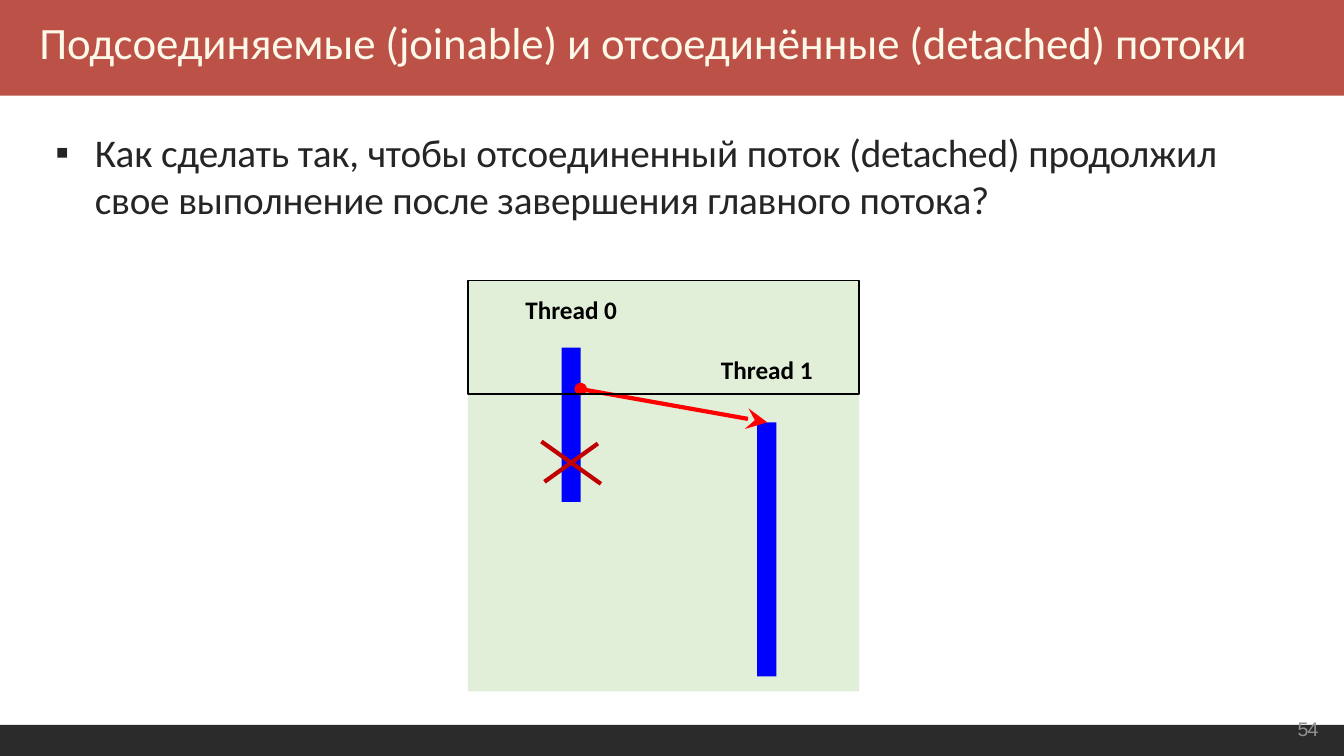
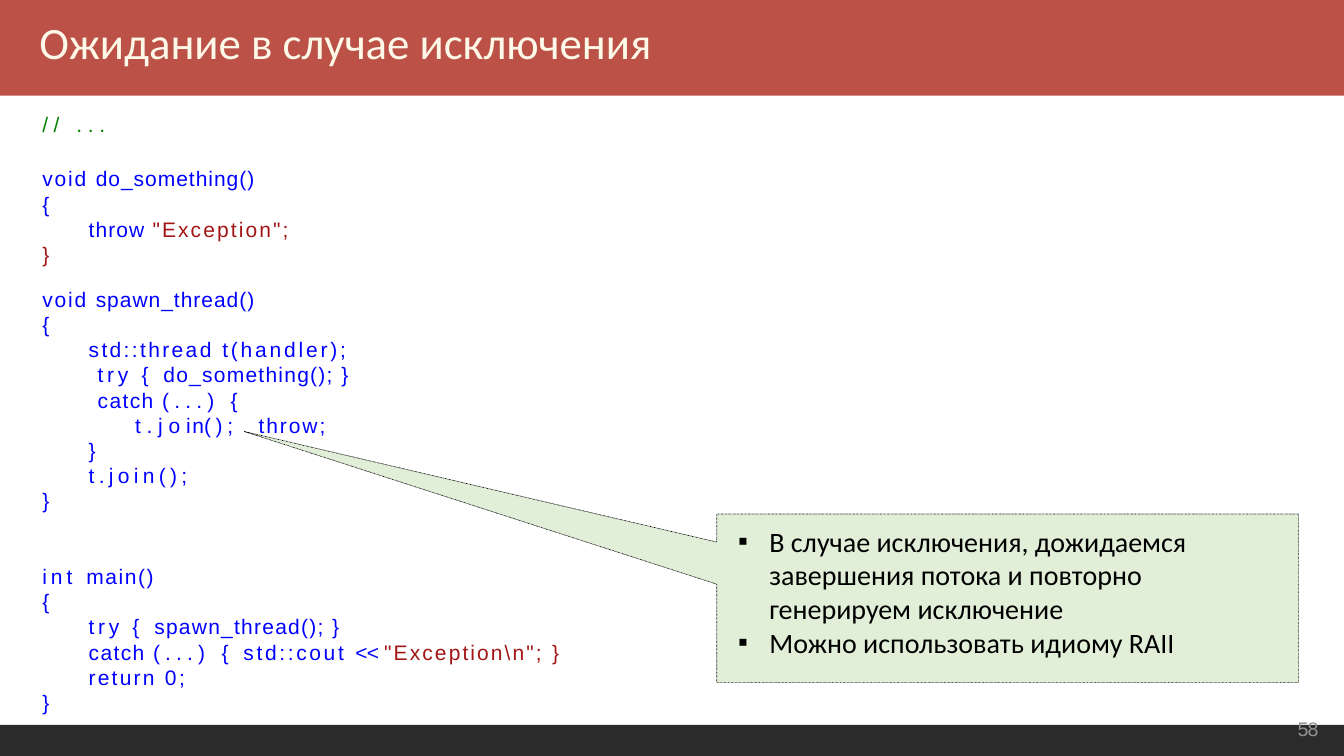
from dataclasses import dataclass

from pptx import Presentation
from pptx.dml.color import RGBColor
from pptx.enum.dml import MSO_LINE
from pptx.enum.shapes import MSO_CONNECTOR, MSO_SHAPE
from pptx.enum.text import MSO_ANCHOR, MSO_AUTO_SIZE, PP_ALIGN
from pptx.oxml.ns import qn
from pptx.util import Inches, Pt
from lxml import etree


@dataclass(frozen=True)
class Theme:
    title_band: str = "BC5247"
    title_text: str = "FDF8E8"
    footer_band: str = "2B2B2B"
    page_number: str = "929292"
    body_text: str = "252525"
    black: str = "000000"
    panel: str = "E1EFD9"
    thread: str = "0000FF"
    arrow: str = "FF0000"
    cross: str = "C00000"
    code: str = "0000FF"
    comment: str = "008000"
    string: str = "A21515"
    text_font: str = "Calibri"
    code_font: str = "Arial"
    title_size: int = 32
    body_size: int = 28
    callout_size: int = 20
    label_size: int = 18
    code_size: int = 15
    code_pitch: int = 18
    number_size: int = 14


THEME = Theme()
WIDTH, HEIGHT = 13.33, 7.5


def rgb(color):
    return RGBColor.from_string(color)


def add_text(paragraph, text, *, size, color, font=THEME.text_font, bold=False, spacing=0):
    """Append a run; spacing is the letter spacing in points."""
    run = paragraph.add_run()
    run.text = text
    run.font.size = Pt(size)
    run.font.name = font
    run.font.bold = bold
    run.font.color.rgb = rgb(color)
    run.font._element.set("spc", str(round(spacing * 100)))


def set_indent(paragraph, left, first=0):
    properties = paragraph._p.get_or_add_pPr()
    properties.set("marL", str(Inches(left)))
    properties.set("indent", str(Inches(first)))
    return properties


def add_bullet(paragraph, color, left, first):
    properties = set_indent(paragraph, left, first)
    bullet_color = etree.SubElement(properties, qn("a:buClr"))
    etree.SubElement(bullet_color, qn("a:srgbClr")).set("val", color)
    etree.SubElement(properties, qn("a:buFont")).set("typeface", THEME.code_font)
    etree.SubElement(properties, qn("a:buChar")).set("char", "▪")


def prepare_frame(shape, left=0, top=0.01):
    """Set top-left anchoring and fixed insets, and return the text frame."""
    frame = shape.text_frame
    frame.word_wrap = True
    frame.auto_size = MSO_AUTO_SIZE.NONE
    frame.vertical_anchor = MSO_ANCHOR.TOP
    frame.margin_left, frame.margin_top = Inches(left), Inches(top)
    frame.margin_right = frame.margin_bottom = 0
    return frame


def paragraphs_for(frame, items):
    """Yield a left-aligned paragraph with each item, reusing the first one."""
    for index, item in enumerate(items):
        paragraph = frame.add_paragraph() if index else frame.paragraphs[0]
        paragraph.alignment = PP_ALIGN.LEFT
        yield paragraph, item


def place(shape, left, top, width, height):
    shape.left, shape.top = Inches(left), Inches(top)
    shape.width, shape.height = Inches(width), Inches(height)


class Deck:
    def __init__(self, theme):
        self.theme = theme
        self.presentation = Presentation()
        self.presentation.slide_width = Inches(WIDTH)
        self.presentation.slide_height = Inches(HEIGHT)
        self.slide = None

    def start_slide(self, title, number, title_spacing=0):
        theme = self.theme
        self.slide = self.presentation.slides.add_slide(self.presentation.slide_layouts[1])
        shape = self.slide.shapes.title
        place(shape, 0, 0, WIDTH, 0.95)
        shape.fill.solid()
        shape.fill.fore_color.rgb = rgb(theme.title_band)
        paragraph = prepare_frame(shape, left=0.39, top=0.15).paragraphs[0]
        paragraph.alignment = PP_ALIGN.LEFT
        add_text(paragraph, title, size=theme.title_size, color=theme.title_text,
                 spacing=title_spacing)
        self.box(0, 7.19, WIDTH, 0.31, fill=theme.footer_band)
        frame = self.text_frame(12.87, 7.1, 0.4, 0.3)
        add_text(frame.paragraphs[0], number, size=theme.number_size,
                 color=theme.page_number, font=theme.code_font, spacing=-0.7)

    def text_frame(self, left, top, width, height):
        return prepare_frame(self.slide.shapes.add_textbox(
            Inches(left), Inches(top), Inches(width), Inches(height)))

    def box(self, left, top, width, height, *, fill=None, line=None, line_width=1,
            preset=MSO_SHAPE.RECTANGLE):
        shape = self.slide.shapes.add_shape(
            preset, Inches(left), Inches(top), Inches(width), Inches(height))
        shape.shadow.inherit = False
        if fill:
            shape.fill.solid()
            shape.fill.fore_color.rgb = rgb(fill)
        else:
            shape.fill.background()
        if line:
            shape.line.color.rgb = rgb(line)
            shape.line.width = Pt(line_width)
        else:
            shape.line.fill.background()
        return shape

    def bullets(self, items, left, top, width, height, *, size, color, indent, hang, spacing=0):
        body = self.slide.placeholders[1]
        place(body, left, top, width, height)
        for paragraph, text in paragraphs_for(prepare_frame(body), items):
            add_bullet(paragraph, color, indent, -hang)
            paragraph.space_before = Pt(0)
            paragraph.line_spacing = 1.0
            add_text(paragraph, text, size=size, color=color, spacing=spacing)

    def labels(self, shape, items, gap):
        """Write (indent, text) labels down a shape, gap points apart."""
        for paragraph, (indent, text) in paragraphs_for(prepare_frame(shape, top=0.14), items):
            set_indent(paragraph, indent)
            paragraph.space_before = Pt(0 if indent == items[0][0] else gap)
            add_text(paragraph, text, size=self.theme.label_size, color=self.theme.black,
                     bold=True)

    def line(self, start, end, color, *, head=None, tail=None):
        connector = self.slide.shapes.add_connector(
            MSO_CONNECTOR.STRAIGHT, *(Inches(value) for value in (*start, *end)))
        connector.line.color.rgb = rgb(color)
        connector.line.width = Pt(3)
        properties = connector._element.spPr
        outline = properties.find(qn("a:ln"))
        for tag, kind, size in (("a:headEnd", head, "med"), ("a:tailEnd", tail, "lg")):
            if kind:
                end_mark = etree.SubElement(outline, qn(tag))
                for name, value in (("type", kind), ("w", size), ("len", size)):
                    end_mark.set(name, value)
        etree.SubElement(properties, qn("a:effectLst"))

    def code(self, lines, left, top, width, *, second_line_gap=0):
        """Write lines of (indent, color, (text, spacing[, color]), ...)."""
        theme = self.theme
        frame = self.text_frame(left, top, width, len(lines) * theme.code_pitch / 72)
        for paragraph, (indent, color, *segments) in paragraphs_for(frame, lines):
            set_indent(paragraph, indent)
            paragraph.line_spacing = Pt(theme.code_pitch)
            for text, spacing, *own_color in segments:
                add_text(paragraph, text, size=theme.code_size, font=theme.code_font,
                         color=own_color[0] if own_color else color, spacing=spacing)
        if second_line_gap:
            frame.paragraphs[1].space_before = Pt(second_line_gap)

    def callout(self, left, top, width, height, tip):
        shape = self.box(left, top, width, height, fill=self.theme.panel,
                         line=self.theme.black, line_width=0.48,
                         preset=MSO_SHAPE.RECTANGULAR_CALLOUT)
        shape.line.dash_style = MSO_LINE.ROUND_DOT
        shape.adjustments[0] = (tip[0] - left) / width - 0.5
        shape.adjustments[1] = (tip[1] - top) / height - 0.5
        self.slide.shapes._spTree.insert(2, shape._element)


def build_detached_slide(deck):
    theme = deck.theme
    deck.start_slide("Подсоединяемые (joinable) и отсоединённые (detached) потоки", "54",
                     title_spacing=-0.1)
    deck.bullets(["Как сделать так, чтобы отсоединенный поток (detached) продолжил "
                  "свое выполнение после завершения главного потока?"],
                 0.54, 1.26, 11.66, 1, size=theme.body_size, color=theme.body_text,
                 indent=0.4, hang=0.39, spacing=-0.1)
    deck.box(4.64, 2.78, 3.88, 4.08, fill=theme.panel)
    for left, top, height in ((5.57, 3.45, 1.53), (7.51, 4.19, 2.52)):
        deck.box(left, top, 0.19, height, fill=theme.thread)
    deck.line((5.76, 3.86), (7.61, 4.19), theme.arrow, head="oval", tail="stealth")
    header = deck.box(4.64, 2.78, 3.88, 1.13, line=theme.black, line_width=0.96)
    deck.labels(header, [(0.57, "Thread 0"), (2.51, "Thread 1")], gap=21)
    for start, end in (((5.4, 4.78), (5.93, 4.4)), ((5.37, 4.38), (5.96, 4.8))):
        deck.line(start, end, theme.cross)


def build_exception_slide(deck):
    theme = deck.theme
    blue, red = theme.code, theme.string
    margin, step, inner, deep = 0.01, 0.47, 0.56, 0.93
    opening = (margin, blue, ("{", 3.2))
    closing = (margin, blue, ("}", 3.2))

    deck.start_slide("Ожидание в случае исключения", "58")
    deck.callout(7.11, 5.1, 5.77, 1.67, tip=(2.42, 4.28))
    deck.bullets(["В случае исключения, дожидаемся завершения потока и повторно "
                  "генерируем исключение",
                  "Можно использовать идиому RAII"],
                 7.3, 5.19, 4.5, 1.43, size=theme.callout_size, color=theme.black,
                 indent=0.33, hang=0.31)
    deck.code([
        (margin, theme.comment, ("// ...", 4)),
        (margin, blue, ("void ", 1.3), ("do_something()", 0.7)),
        opening,
        (step, blue, ("throw ", 0.8), ('"Exception";', 1.5, red)),
        (margin, red, ("}", 3.2)),
    ], 0.41, 1.1, 4, second_line_gap=20.6)
    deck.code([
        (margin, blue, ("void ", 1.3), ("spawn_thread()", 0.7)),
        opening,
        (step, blue, ("std::thread ", 1.7), ("t(handler);", 2)),
        (inner, blue, ("try ", 2.6), ("{ ", 3.2), ("do_something(); ", 0.9), ("}", 3.2)),
        (inner, blue, ("catch ", 1), ("(...) ", 3.7), ("{", 3.2)),
        (deep, blue, ("t.jo", 4.1), ("i", 1.2), ("n", -0.2), ("();  ", 3.3), ("throw;", 1.4)),
        (step, blue, ("}", 3.2)),
        (step, blue, ("t.join();", 3.1)),
        closing,
    ], 0.41, 2.83, 4)
    deck.code([
        (margin, blue, ("int ", 2.9), ("main()", 1.1)),
        opening,
        (step, blue, ("try ", 2.6), ("{ ", 3.2), ("spawn_thread(); ", 0.9), ("}", 3.2)),
        (step, blue, ("catch ", 1), ("(...) ", 3.7), ("{ ", 3.2), ("std::cout ", 1.9),
         ("<< ", -0.5), ('"Exception\\n"; ', 1.5, red), ("}", 3.2, red)),
        (step, blue, ("return ", 1.6), ("0;", 1.9)),
        closing,
    ], 0.41, 5.58, 6)


def main():
    deck = Deck(THEME)
    build_detached_slide(deck)
    build_exception_slide(deck)
    deck.presentation.save("out.pptx")


if __name__ == "__main__":
    main()
